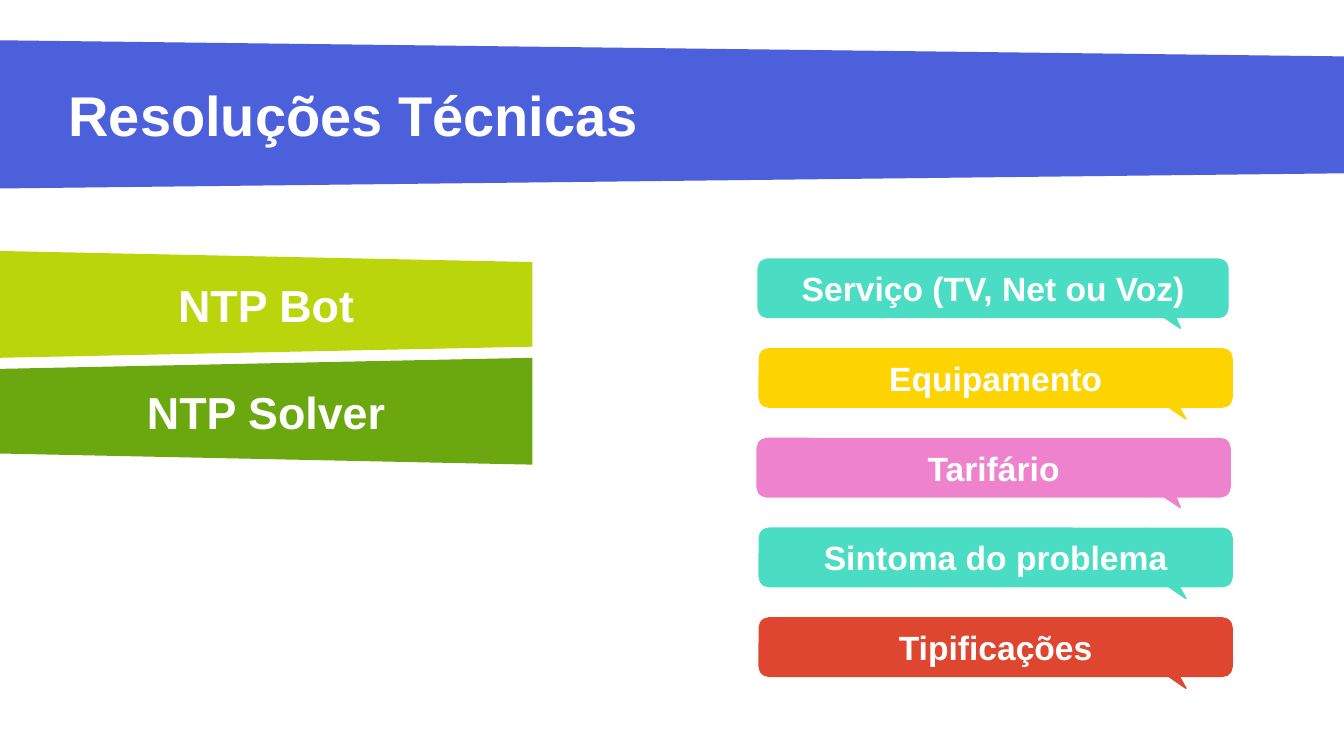
import dataclasses

import pptx
import pptx.dml.color
import pptx.enum.shapes
import pptx.enum.text
import pptx.util
from pptx.util import Inches

SHAPE = pptx.enum.shapes.MSO_SHAPE
ALIGN = pptx.enum.text.PP_ALIGN
TITLE_ONLY = 5


@dataclasses.dataclass(frozen=True)
class Theme:
    font: str = "Arial"
    title_size: int = 40
    band_size: int = 32
    bubble_size: int = 24
    white: str = "FFFFFF"
    blue: str = "4C60DC"
    lime: str = "BBD50C"
    green: str = "6BA70E"
    teal: str = "4ADDC3"
    yellow: str = "FDD300"
    pink: str = "EE82CC"
    red: str = "DF462F"


def rgb(code):
    return pptx.dml.color.RGBColor.from_string(code)


def set_text(sp, text, *, font, size, color, align=ALIGN.CENTER):
    tf = sp.text_frame
    tf.word_wrap = True
    tf.auto_size = pptx.enum.text.MSO_AUTO_SIZE.NONE
    tf.vertical_anchor = pptx.enum.text.MSO_ANCHOR.MIDDLE
    p = tf.paragraphs[0]
    p.alignment = align
    r = p.add_run()
    r.text = text
    r.font.name = font
    r.font.size = pptx.util.Pt(size)
    r.font.bold = True
    r.font.color.rgb = rgb(color)


class Deck:
    def __init__(self, prs, theme):
        self.theme = theme
        self.s = prs.slides.add_slide(prs.slide_layouts[TITLE_ONLY])

    def label(self, sp, text, size, **fmt):
        set_text(sp, text, font=self.theme.font, size=size,
                 color=self.theme.white, **fmt)

    def paint(self, sp, color, outlined=False):
        sp.shadow.inherit = False
        sp.fill.solid()
        sp.fill.fore_color.rgb = rgb(color)
        if outlined:
            sp.line.color.rgb = rgb(color)
            sp.line.width = pptx.util.Pt(1)
        else:
            sp.line.fill.background()

    def title(self, text, left, top, width, height):
        sp = self.s.shapes.title
        sp.left, sp.top = Inches(left), Inches(top)
        sp.width, sp.height = Inches(width), Inches(height)
        sp.text_frame.margin_left = 0
        self.label(sp, text, self.theme.title_size, align=ALIGN.LEFT)
        # Bring the title in front of its banner
        self.s.shapes.element.append(sp.element)

    def band(self, width, left_edge, right_edge, color, text=None):
        """Slanted band; each edge is a (top, bottom) pair."""
        corners = [(0, left_edge[0]), (0, left_edge[1]),
                   (width, right_edge[1]), (width, right_edge[0])]
        points = [(Inches(x), Inches(y)) for x, y in corners]
        builder = self.s.shapes.build_freeform(*points[0])
        builder.add_line_segments(points[1:], close=True)
        sp = builder.convert_to_shape()
        self.paint(sp, color)
        if text:
            self.label(sp, text, self.theme.band_size)

    def box(self, kind, left, top, width, height, color):
        sp = self.s.shapes.add_shape(kind, Inches(left), Inches(top),
                                     Inches(width), Inches(height))
        self.paint(sp, color, outlined=True)
        return sp

    def bubble(self, text, left, top, width, color, tail):
        drop, tail_width, tail_height, angle = tail
        sp = self.box(SHAPE.ISOSCELES_TRIANGLE, 11.32, top + drop,
                      tail_width, tail_height, color)
        sp.rotation = angle
        sp = self.box(SHAPE.ROUNDED_RECTANGLE, left, top, width, 0.58, color)
        self.label(sp, text, self.theme.bubble_size)


def main():
    prs = pptx.Presentation()
    prs.slide_width, prs.slide_height = Inches(13.33), Inches(7.5)
    theme = Theme()
    deck = Deck(prs, theme)

    # Speech bubbles, evenly spaced down the right side
    short_tail = (0.13, 0.37, 0.63, 140)
    long_tail = (0.02, 0.36, 0.78, 137.7)
    bubbles = [
        ("Serviço (TV, Net ou Voz)", 7.52, 4.66, theme.teal, short_tail),
        ("Equipamento", 7.53, 4.69, theme.yellow, long_tail),
        ("Tarifário", 7.51, 4.69, theme.pink, short_tail),
        ("Sintoma do problema", 7.53, 4.69, theme.teal, long_tail),
        ("Tipificações", 7.53, 4.69, theme.red, long_tail),
    ]
    for i, (text, left, width, color, tail) in enumerate(bubbles):
        deck.bubble(text, left, 2.57 + 0.89 * i, width, color, tail)

    # Title banner
    deck.band(13.33, (0.4, 1.87), (0.56, 1.72), theme.blue)
    deck.title("Resoluções Técnicas", 0.68, 0.4, 12, 1.47)

    # Tool bands on the left
    deck.band(5.28, (2.49, 3.55), (2.6, 3.44), theme.lime, "NTP Bot")
    deck.band(5.28, (3.66, 4.5), (3.55, 4.61), theme.green, "NTP Solver")

    prs.save("out.pptx")


if __name__ == "__main__":
    main()
